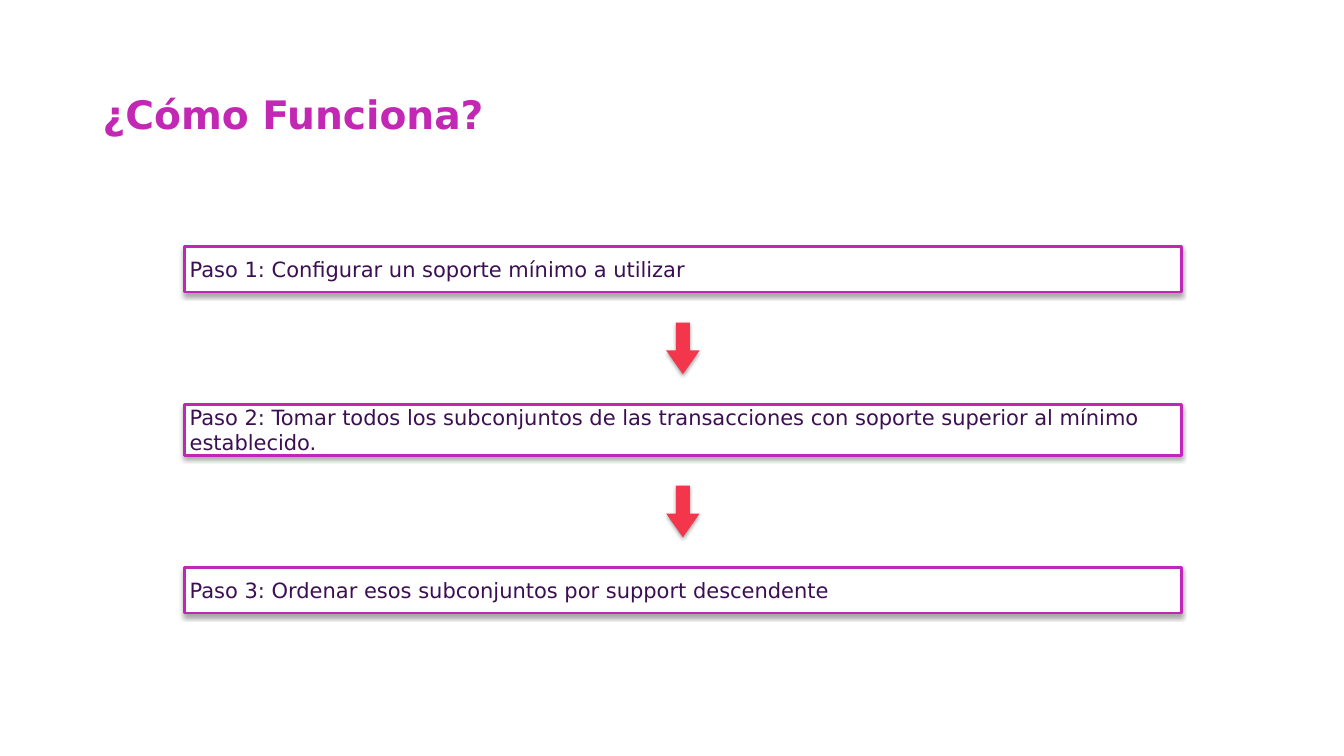
from dataclasses import dataclass

from lxml import etree
from pptx import Presentation
from pptx.dml import color
from pptx.enum import shapes, text
from pptx.oxml import ns
from pptx.util import Cm, Pt

COLORS = {
    "title": "C228B4",
    "border": "C026B7",
    "box": "FFFFFF",
    "step": "3C0F53",
    "arrow": "F4364C",
    "shadow": "000000",
}
FONT = "DejaVu Sans"

# Layout in centimetres
BOX_LEFT, BOX_WIDTH, FIRST_TOP = 4.65, 25.12, 6.22
ARROW_WIDTH, ARROW_HEIGHT, GAP = 0.84, 1.3, 0.77
INSET = 0.13


@dataclass(frozen=True)
class Step:
    wording: str
    height: float


@dataclass(frozen=True)
class Shadow:
    opacity: int
    blur: float
    distance: float
    angle: int


STEPS = [
    Step("Paso 1: Configurar un soporte mínimo a utilizar", 1.14),
    Step("Paso 2: Tomar todos los subconjuntos de las transacciones "
         "con soporte superior al mínimo establecido.", 1.27),
    Step("Paso 3: Ordenar esos subconjuntos por support descendente", 1.14),
]
BOX_SHADOW = Shadow(35, 3, 1.8, 90)
ARROW_SHADOW = Shadow(38, 3, 1.6, 85)


def rgb(name: str) -> color.RGBColor:
    return color.RGBColor.from_string(COLORS[name])


def cast_shadow(shape, shadow: Shadow) -> None:
    shape.shadow.inherit = False
    effects = shape.element.spPr.find(ns.qn("a:effectLst"))
    outer = etree.SubElement(
        effects, ns.qn("a:outerShdw"),
        blurRad=str(Pt(shadow.blur)), dist=str(Pt(shadow.distance)),
        dir=str(shadow.angle * 60000), algn="ctr", rotWithShape="0")
    tint = etree.SubElement(outer, ns.qn("a:srgbClr"), val=COLORS["shadow"])
    etree.SubElement(tint, ns.qn("a:alpha"), val=str(shadow.opacity * 1000))


def write(shape, wording: str, size: float, color_name: str, bold: bool = False) -> None:
    frame = shape.text_frame
    frame.text = wording
    frame.word_wrap = True
    frame.vertical_anchor = text.MSO_ANCHOR.MIDDLE
    paragraph = frame.paragraphs[0]
    paragraph.alignment = text.PP_ALIGN.LEFT
    font = paragraph.runs[0].font
    font.name, font.size, font.bold = FONT, Pt(size), bold
    font.color.rgb = rgb(color_name)


def draw_title(slide, wording: str) -> None:
    title = slide.shapes.add_textbox(Cm(2.34), Cm(1.8), Cm(29.21), Cm(2.31))
    write(title, wording, 28, "title", bold=True)
    title.text_frame.paragraphs[0].line_spacing = 0.9


def draw_step(slide, step: Step, top: float) -> None:
    box = slide.shapes.add_shape(
        shapes.MSO_SHAPE.RECTANGLE,
        Cm(BOX_LEFT), Cm(top), Cm(BOX_WIDTH), Cm(step.height))
    box.fill.solid()
    box.fill.fore_color.rgb = rgb("box")
    box.line.color.rgb = rgb("border")
    box.line.width = Pt(2)
    cast_shadow(box, BOX_SHADOW)
    write(box, step.wording, 15, "step")
    frame = box.text_frame
    frame.margin_left = frame.margin_right = Cm(INSET)
    frame.margin_top = frame.margin_bottom = Cm(INSET)


def draw_arrow(slide, top: float) -> None:
    left = BOX_LEFT + (BOX_WIDTH - ARROW_WIDTH) / 2
    arrow = slide.shapes.add_shape(
        shapes.MSO_SHAPE.DOWN_ARROW,
        Cm(left), Cm(top), Cm(ARROW_WIDTH), Cm(ARROW_HEIGHT))
    arrow.adjustments[0] = 0.415
    arrow.adjustments[1] = 0.71
    arrow.fill.solid()
    arrow.fill.fore_color.rgb = rgb("arrow")
    arrow.line.fill.background()
    cast_shadow(arrow, ARROW_SHADOW)


def main() -> None:
    deck = Presentation()
    deck.slide_width, deck.slide_height = Cm(33.87), Cm(19.05)
    slide = deck.slides.add_slide(deck.slide_layouts[6])

    draw_title(slide, "¿Cómo Funciona?")

    # Steps stacked downwards, with an arrow before each one after the first
    top = FIRST_TOP
    for index, step in enumerate(STEPS):
        if index:
            draw_arrow(slide, top + GAP)
            top += ARROW_HEIGHT + 2 * GAP
        draw_step(slide, step, top)
        top += step.height

    deck.save("out.pptx")


if __name__ == "__main__":
    main()
